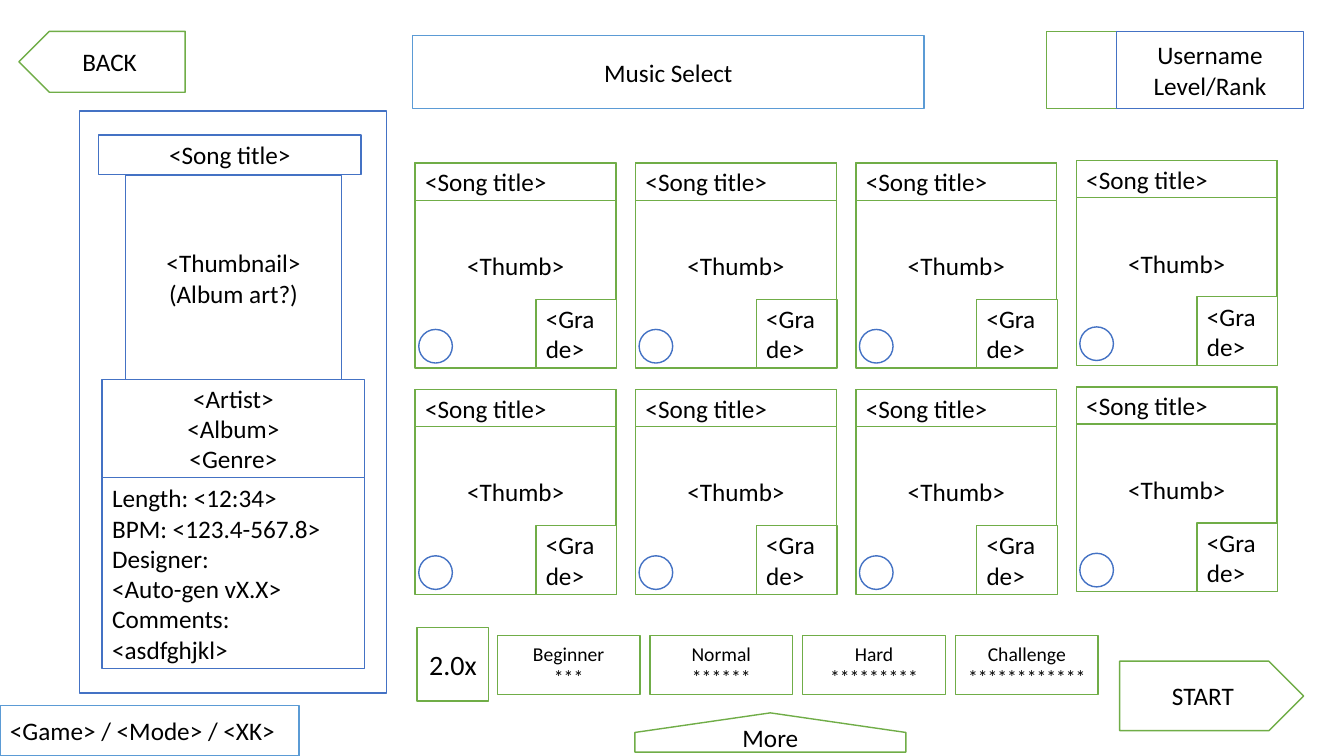
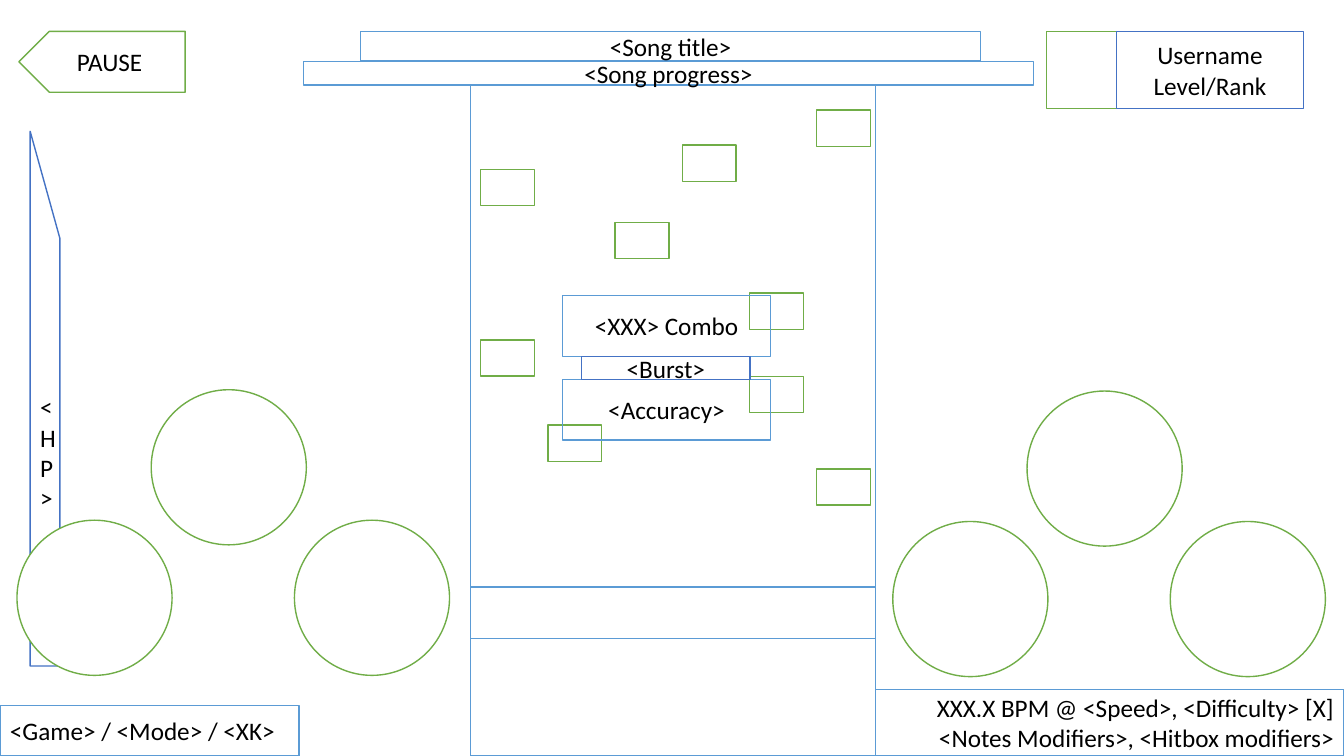
from copy import deepcopy
from dataclasses import dataclass
from itertools import product

from pptx import Presentation
from pptx.dml.color import RGBColor
from pptx.enum.shapes import MSO_SHAPE as Form
from pptx.enum.text import MSO_ANCHOR, MSO_AUTO_SIZE, PP_ALIGN
from pptx.oxml.ns import qn
from pptx.util import Pt


@dataclass(frozen=True)
class Theme:
    """Colours, font and type sizes of the deck."""
    green: str = "70AD47"
    blue: str = "4472C4"
    sky: str = "5B9BD5"
    paper: str = "FFFFFF"
    ink: str = "000000"
    font: str = "Calibri"
    body: int = 18
    small: int = 14
    large: int = 20
    line: int = 1


LOOK = Theme()
LEFT, MID, RIGHT = PP_ALIGN.LEFT, PP_ALIGN.CENTER, PP_ALIGN.RIGHT


def write(shape, text, size=LOOK.body, align=MID):
    """Fill a shape with text: \\n starts a paragraph, \\v a line."""
    frame = shape.text_frame
    frame.word_wrap = True
    frame.vertical_anchor = MSO_ANCHOR.MIDDLE
    for row, part in enumerate(text.split("\n")):
        para = frame.add_paragraph() if row else frame.paragraphs[0]
        para.alignment = align
        for count, words in enumerate(part.split("\v")):
            if count:
                para.add_line_break()
            run = para.add_run()
            run.text = words
            run.font.name = LOOK.font
            run.font.size = Pt(size)
            run.font.color.rgb = RGBColor.from_string(LOOK.ink)
        for gap in para._p.findall(qn("a:br")):
            gap.append(deepcopy(run._r.rPr))


def dress(shape, color, clear=False):
    """Give a shape its outline and a white or clear inside."""
    shape.shadow.inherit = False
    if clear:
        shape.fill.background()
    else:
        shape.fill.solid()
        shape.fill.fore_color.rgb = RGBColor.from_string(LOOK.paper)
    shape.line.color.rgb = RGBColor.from_string(color)
    shape.line.width = Pt(LOOK.line)


def box(shapes, place, color, text="", form=Form.RECTANGLE, clear=False,
        size=LOOK.body, align=MID):
    """Draw an outlined shape at (left, top, width, height)."""
    shape = shapes.add_shape(form, *map(Pt, place))
    dress(shape, color, clear)
    if text:
        write(shape, text, size, align)
    return shape


def flip(shape):
    """Mirror a shape from left to right."""
    shape.element.spPr.get_or_add_xfrm().set("flipH", "1")


def head(slide, text, place, clear=False):
    """Place and format the slide title."""
    title = slide.shapes.title
    title.left, title.top, title.width, title.height = map(Pt, place)
    dress(title, LOOK.sky, clear)
    write(title, text)
    title.text_frame.auto_size = MSO_AUTO_SIZE.NONE


def frame(deck, label):
    """Add a slide with its corner button, user badge and mode label."""
    slide = deck.slides.add_slide(deck.slide_layouts[5])
    shapes = slide.shapes
    flip(box(shapes, (13.5, 22.4, 118.8, 43.5), LOOK.green, label, Form.PENTAGON))
    box(shapes, (747.4, 22.4, 50, 55), LOOK.green)
    box(shapes, (797.4, 22.4, 133.8, 55), LOOK.blue, "Username\vLevel/Rank")
    box(shapes, (0, 504, 213.6, 36), LOOK.sky, "<Game> / <Mode> / <XK>", align=LEFT)
    return slide


def card(slide, left, top):
    """Draw one song card as a group."""
    shapes = slide.shapes.add_group_shape().shapes
    box(shapes, (left, top, 143.5, 146.3), LOOK.green, "<Thumb>")
    box(shapes, (left + 86.2, top + 97.3, 57.6, 49), LOOK.green, "<Grade>", align=LEFT)
    box(shapes, (left + 2.5, top + 118.8, 24, 24), LOOK.blue, form=Form.OVAL)
    box(shapes, (left, top, 143.5, 26.6), LOOK.green, "<Song title>", align=LEFT)


def song(shapes):
    """Draw the panel with the chosen song."""
    box(shapes, (56.8, 79.4, 219.4, 415.6), LOOK.blue)
    box(shapes, (70.4, 96.5, 187.6, 28), LOOK.blue, "<Song title>")
    box(shapes, (89.8, 125.2, 154, 146.6), LOOK.blue, "<Thumbnail>\v(Album art?)")
    facts = box(shapes, (73, 341.2, 187.4, 136.2), LOOK.blue,
                "Length: <12:34>\nBPM: <123.4-567.8>\n"
                "Designer:\v<Auto-gen vX.X>\nComments:\v<asdfghjkl>", align=LEFT)
    facts.text_frame.vertical_anchor = MSO_ANCHOR.TOP
    box(shapes, (73, 271.2, 187.4, 70), LOOK.blue, "<Artist>\v<Album>\v<Genre>")


def menu(deck):
    """Build the music selection screen."""
    slide = frame(deck, "BACK")
    shapes = slide.shapes
    head(slide, "Music Select", (294.7, 25.4, 365.4, 52.2))
    for col, row in product(range(4), range(2)):
        lift = 1.8 if col == 3 else 0
        card(slide, 296.6 + 157.4 * col, 116.5 + 161.7 * row - lift)
    song(shapes)
    box(shapes, (298, 448.4, 51.2, 52.4), LOOK.green, "2.0x", size=LOOK.large)
    levels = {"Beginner": 3, "Normal": 6, "Hard": 9, "Challenge": 12}
    for step, (name, stars) in enumerate(levels.items()):
        box(shapes, (355.2 + 109.1 * step, 454, 102, 42.2), LOOK.green,
            name + "\v" + "*" * stars, size=LOOK.small)
    box(shapes, (799.8, 472.3, 131.4, 49.6), LOOK.green, "START", Form.PENTAGON)
    more = box(shapes, (536.3, 426.4, 28, 193.6), LOOK.green, "More", Form.PENTAGON)
    more.rotation = 270
    more.text_frame._txBody.bodyPr.set("vert", "vert")


def pads(slide, left, top):
    """Draw a group of three round touch pads."""
    shapes = slide.shapes.add_group_shape().shapes
    for across, down in ((0, 0), (95.9, -93.2), (198.2, 0)):
        box(shapes, (left + across, top + down, 110.8, 110.8), LOOK.green, form=Form.OVAL)


def game(deck):
    """Build the play screen."""
    slide = frame(deck, "PAUSE")
    shapes = slide.shapes
    head(slide, "<Song title>", (257.6, 22.4, 442.8, 21.1), clear=True)
    box(shapes, (625, 492.4, 335, 47.2), LOOK.sky,
        "XXX.X BPM @ <Speed>, <Difficulty> [X]\v"
        "<Notes Modifiers>, <Hitbox modifiers>", align=RIGHT)
    box(shapes, (336.2, 60.6, 289.2, 479.4), LOOK.sky)
    box(shapes, (336.2, 419.2, 289.2, 36.7), LOOK.sky)
    box(shapes, (216.8, 44, 521.4, 16.7), LOOK.sky, "<Song progress>", clear=True)
    flip(box(shapes, (21.6, 93.8, 21.2, 381.9), LOOK.blue, "<HP>",
             Form.FLOWCHART_MANUAL_INPUT, clear=True))
    notes = ((0, 242.8), (1, 303.6), (2, 158.8), (3, 103.6), (0, 121),
             (4, 209.3), (4, 268.8), (5, 78.6), (5, 335))
    for lane, top in notes:
        box(shapes, (343.4 + 48 * lane, top, 38.5, 25.9), LOOK.green)
    for text, top in (("<XXX> Combo", 211), ("<Accuracy>", 270.9)):
        box(shapes, (401.7, top, 148.8, 43.5), LOOK.sky, text, clear=True)
    box(shapes, (415.4, 254.6, 120.4, 16.5), LOOK.blue, "<Burst>", clear=True)
    pads(slide, 12.1, 371.6)
    pads(slide, 637.7, 372.5)


def main():
    """Build and save the deck."""
    deck = Presentation()
    deck.slide_width, deck.slide_height = Pt(960), Pt(540)
    menu(deck)
    game(deck)
    deck.save("out.pptx")


main()
